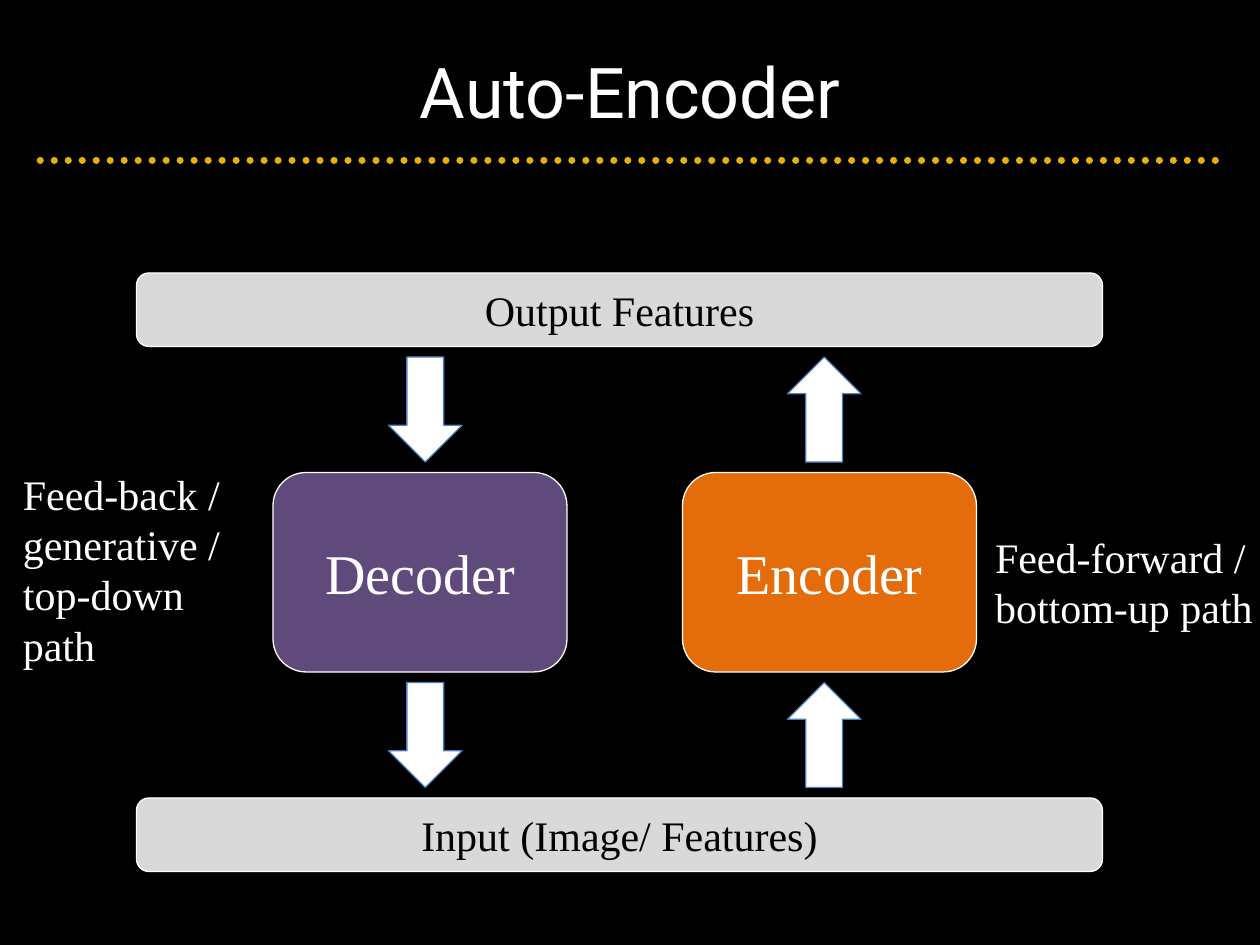
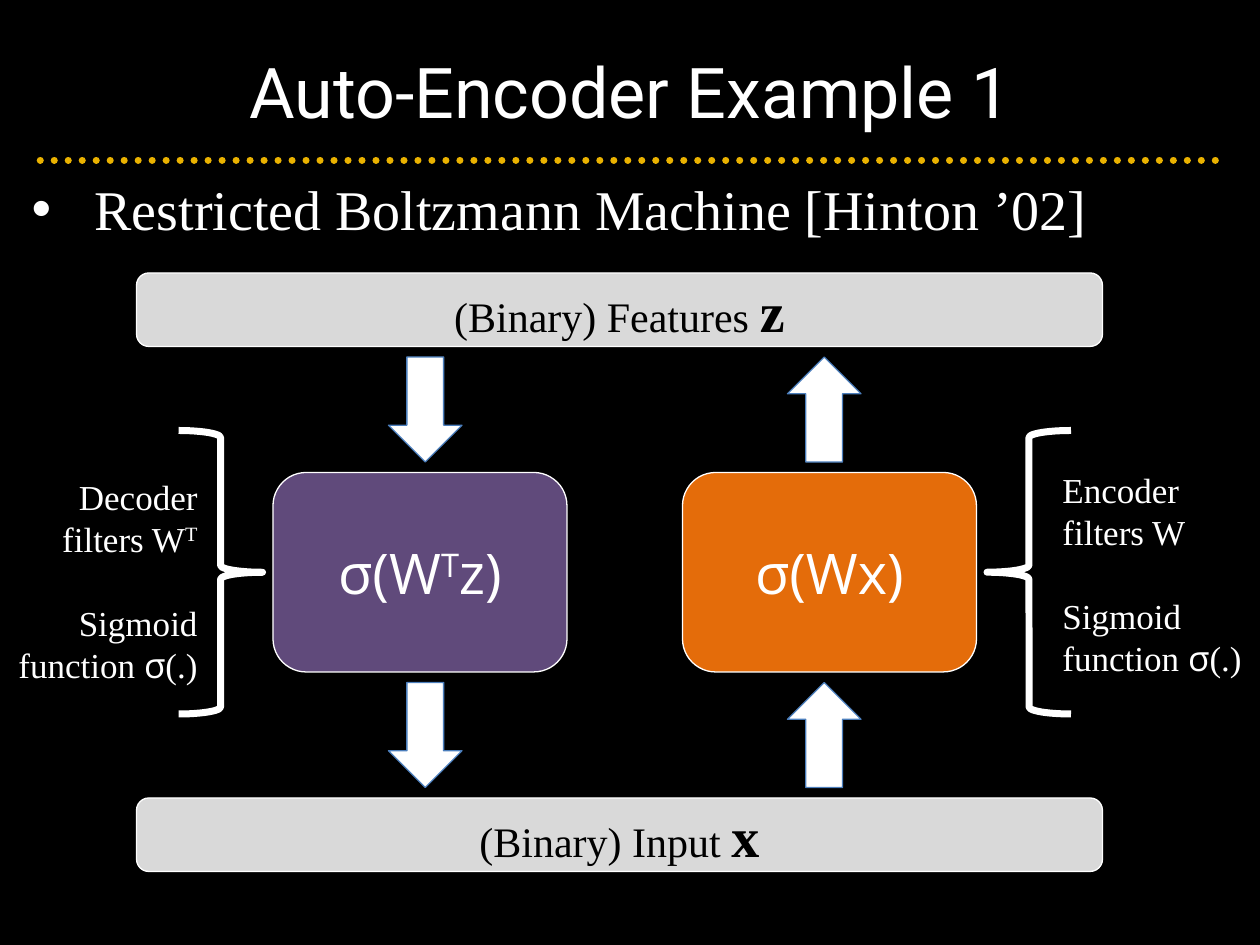
from lxml import etree
from pptx import Presentation
from pptx import util as u
from pptx.dml import color as dml
from pptx.enum import dml as dash, shapes, text
from pptx.oxml import ns

Pt = u.Pt
KIND = shapes.MSO_SHAPE
ALIGN = text.PP_ALIGN

COLORS = {"back": "000000", "ink": "FFFFFF", "rule": "EAB200", "bar": "D9D9D9",
          "decoder": "604A7B", "encoder": "E46C0A", "arrow_edge": "4B7EBC"}
SERIF, SANS, TITLE_FONT = "Times New Roman", "Open Sans", "Roboto"

# A paragraph is a list of runs: (text, changes to the base style)
SUP = {"sup": True}
BIG = {"size": 32, "bold": True}
SIGMOID = [("Sigmoid function ", {}), ("σ", {"font": SANS}), ("(.)", {})]

SLIDES = [
    {"title": "Auto-Encoder",
     "top": [("Output Features", {})],
     "bottom": [("Input (Image/ Features)", {})],
     "box_font": SERIF,
     "decoder": [("Decoder", {})],
     "encoder": [("Encoder", {})],
     "labels": [
         {"at": (6, 264, 130, 124), "size": 24, "wrap": False,
          "paras": [[("Feed-back /\ngenerative /\ntop-down", {})], [("path", {})]]},
         {"at": (561.5, 300, 170, 65.5), "size": 24, "wrap": False,
          "paras": [[("Feed-forward /\nbottom-up path", {})]]}],
     "braces": False},
    {"title": "Auto-Encoder Example 1",
     "top": [("(Binary) Features ", {}), ("z", BIG)],
     "bottom": [("(Binary) Input ", {}), ("x", BIG)],
     "box_font": SANS,
     "decoder": [("σ(W", {}), ("T", SUP), ("z)", {})],
     "encoder": [("σ(Wx)", {})],
     "bullet": [("Restricted Boltzmann Machine [Hinton ’02]", {})],
     "labels": [
         {"at": (600, 264, 120, 128), "size": 20, "gap": 24,
          "paras": [[("Encoder filters W", {})], SIGMOID]},
         {"at": (0, 268, 120, 128), "size": 20, "gap": 24, "align": ALIGN.RIGHT,
          "paras": [[("Decoder filters W", {}), ("T", SUP)], SIGMOID]}],
     "braces": True},
]

# The diagram is a stack: bar, arrows, boxes, arrows, bar
BAR_LEFT, BAR_W, BAR_H = 78, 552, 42
BOX_W, BOX_H, BOX_TOP = 168, 114, 270
ARROW_W, ARROW_H = 42, 60
BRACE_W, BRACE_H = 48, 162
GAP = 6
ARROW_TOPS = (BOX_TOP - GAP - ARROW_H, BOX_TOP + BOX_H + GAP)
BAR_TOPS = {"top": ARROW_TOPS[0] - GAP - BAR_H,
            "bottom": ARROW_TOPS[1] + ARROW_H + GAP}
# name: (box left, arrow left, brace left, rotation)
COLUMNS = {"encoder": (390, 450, 564, 0), "decoder": (156, 222, 102, 180)}


def rgb(name):
    return dml.RGBColor.from_string(COLORS[name])


def write(s, paras, size, font=SERIF, color="ink", align=ALIGN.LEFT, gap=0,
          middle=False, bullet=False):
    """Fill a shape with paragraphs; gap is the space between them."""
    tf = s.text_frame
    tf.vertical_anchor = text.MSO_ANCHOR.MIDDLE if middle else text.MSO_ANCHOR.TOP
    for i, runs in enumerate(paras):
        p = tf.add_paragraph() if i else tf.paragraphs[0]
        p.alignment = align
        if i and gap:
            p.space_before = Pt(gap)
        if bullet:
            pPr = p._p.get_or_add_pPr()
            pPr.set("marL", str(Pt(36)))
            pPr.set("indent", str(-Pt(36)))
            etree.SubElement(pPr, ns.qn("a:buFont"), typeface="Arial")
            etree.SubElement(pPr, ns.qn("a:buChar"), char="•")
        for words, style in runs:
            for j, line in enumerate(words.split("\n")):
                if j:
                    p.add_line_break()
                r = p.add_run()
                r.text = line
                r.font.name = style.get("font", font)
                r.font.size = Pt(style.get("size", size))
                r.font.bold = style.get("bold", False)
                r.font.color.rgb = rgb(color)
                if style.get("sup"):
                    r._r.get_or_add_rPr().set("baseline", "30000")


def add_text(sl, at, paras, size, wrap=True, **style):
    s = sl.shapes.add_textbox(*map(Pt, at))
    s.text_frame.word_wrap = wrap
    if not wrap:
        s.text_frame.auto_size = text.MSO_AUTO_SIZE.SHAPE_TO_FIT_TEXT
    write(s, paras, size, **style)


def add_shape(sl, kind, at, fill=None, line="ink", width=0.75, rotation=0):
    s = sl.shapes.add_shape(kind, *map(Pt, at))
    s.shadow.inherit = False
    s.rotation = rotation
    if fill:
        s.fill.solid()
        s.fill.fore_color.rgb = rgb(fill)
    else:
        s.fill.background()
    s.line.color.rgb = rgb(line)
    s.line.width = Pt(width)
    return s


def add_frame(sl, title):
    """Black background, title and the dotted rule below it."""
    sl.background.fill.solid()
    sl.background.fill.fore_color.rgb = rgb("back")
    add_text(sl, (36, 6.5, 648, 90), [[(title, {})]], 40, font=TITLE_FONT,
             align=ALIGN.CENTER, middle=True)
    rule = sl.shapes.add_connector(shapes.MSO_CONNECTOR.STRAIGHT,
                                   Pt(23), Pt(91.5), Pt(702), Pt(91.5))
    rule.line.color.rgb = rgb("rule")
    rule.line.width = Pt(4)
    rule.line.dash_style = dash.MSO_LINE.ROUND_DOT
    rule.line._get_or_add_ln().set("cap", "rnd")
    etree.SubElement(rule._element.spPr, ns.qn("a:effectLst"))


def add_diagram(sl, content):
    for name, (box_left, arrow_left, brace_left, rotation) in COLUMNS.items():
        box = add_shape(sl, KIND.ROUNDED_RECTANGLE,
                        (box_left, BOX_TOP, BOX_W, BOX_H), name)
        write(box, [content[name]], 32, font=content["box_font"],
              align=ALIGN.CENTER, middle=True)
        for top in ARROW_TOPS:
            add_shape(sl, KIND.UP_ARROW, (arrow_left, top, ARROW_W, ARROW_H),
                      "ink", "arrow_edge", rotation=rotation)
        if content["braces"]:
            brace_top = BOX_TOP + (BOX_H - BRACE_H) / 2
            add_shape(sl, KIND.LEFT_BRACE,
                      (brace_left, brace_top, BRACE_W, BRACE_H),
                      width=4, rotation=rotation)
    for name, top in BAR_TOPS.items():
        bar = add_shape(sl, KIND.ROUNDED_RECTANGLE,
                        (BAR_LEFT, top, BAR_W, BAR_H), "bar")
        write(bar, [content[name]], 24, color="back",
              align=ALIGN.CENTER, middle=True)


def main():
    prs = Presentation()
    prs.slide_width, prs.slide_height = Pt(720), Pt(540)
    for content in SLIDES:
        sl = prs.slides.add_slide(prs.slide_layouts[6])
        add_frame(sl, content["title"])
        add_diagram(sl, content)
        if "bullet" in content:
            add_text(sl, (11, 96, 629, 46), [content["bullet"]], 32,
                     wrap=False, bullet=True)
        for label in content["labels"]:
            add_text(sl, **label)
    prs.save("out.pptx")


if __name__ == "__main__":
    main()
